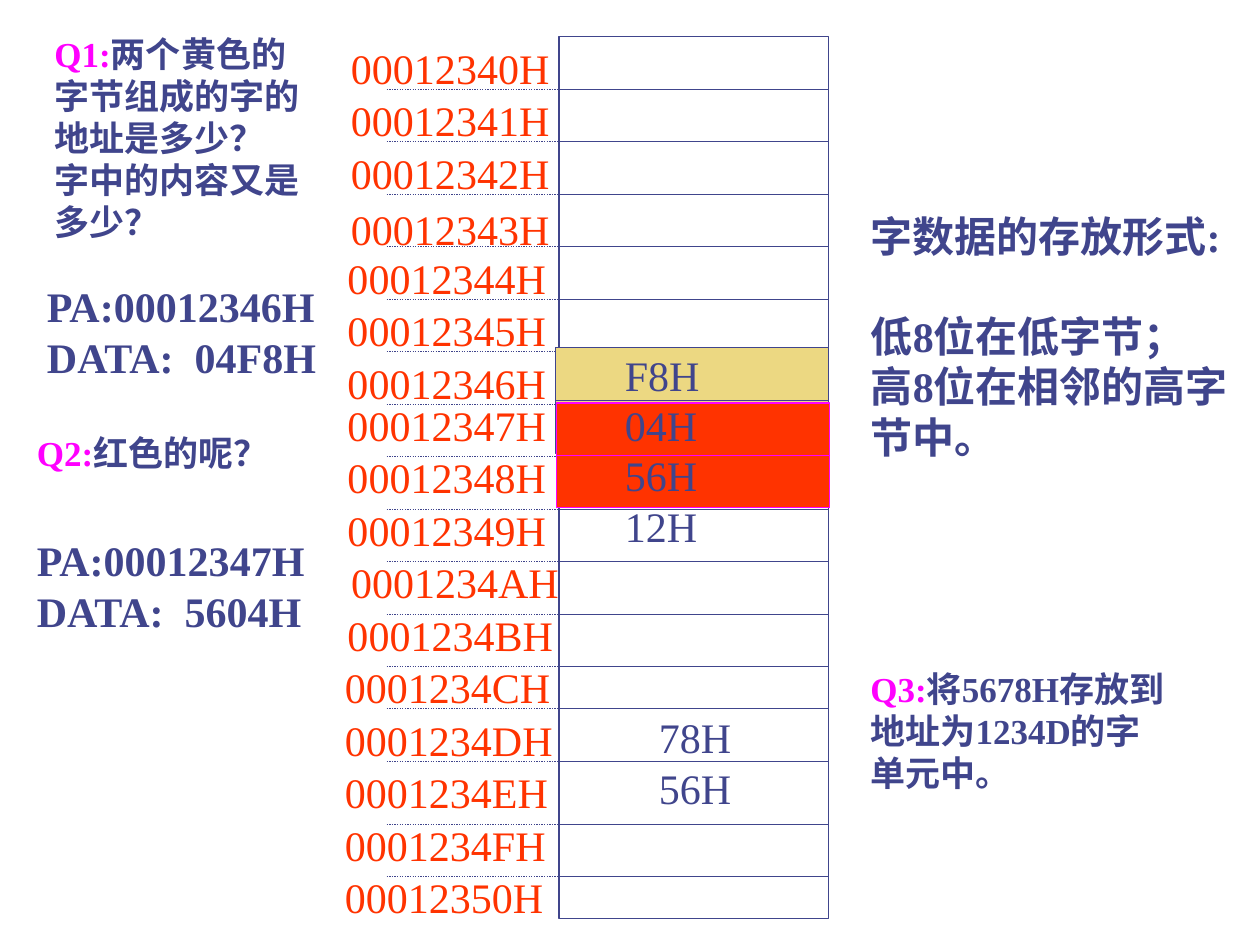
"""Build the slide on how words are stored in byte memory."""
from lxml import etree
from pptx import Presentation
from pptx import util as u
from pptx.dml.color import RGBColor
from pptx.enum import dml, lang, shapes, text
from pptx.oxml.ns import qn

Pt = u.Pt
BLUE, RED, PINK, GOLD = "40458C", "FF3300", "FF00FF", "ECD882"


def color(code):
    """Turn a hex string into a colour."""
    return RGBColor.from_string(code)


def write(box, lines, size=24, ink=BLUE, bold=False, wrap=False):
    """Add a text box; each line is a list of (words, colour) or a string."""
    frame = slide.shapes.add_textbox(*map(Pt, box)).text_frame
    frame.word_wrap = wrap
    frame.auto_size = text.MSO_AUTO_SIZE.SHAPE_TO_FIT_TEXT
    for i, line in enumerate(lines):
        para = frame.add_paragraph() if i else frame.paragraphs[0]
        for words, tint in [(line, ink)] if isinstance(line, str) else line:
            run = para.add_run()
            run.text = words
            font = run.font
            font.name, font.size, font.bold = "Times New Roman", Pt(size), bold
            font.color.rgb = color(tint)
            font.language_id = lang.MSO_LANGUAGE_ID.SIMPLIFIED_CHINESE
    return frame


deck = Presentation()
deck.slide_width, deck.slide_height = Pt(720), Pt(540)
slide = deck.slides.add_slide(deck.slide_layouts[6])

left, right, top, step = 319.5, 473.5, 21, 30
rules = [top + step * i for i in range(1, 13)] + [405, 435, 471, 501]
hidden = top + step * 8
rects = [
    (left, top, right - left, 504, "FFFFFF", BLUE),
    (317.5, 198.75, 156, 30, GOLD, BLUE),
    (317.5, 229, 156, 30, GOLD, BLUE),
    (318, 260, 156, 30, RED, PINK),
    (318, 230.25, 156, 30, RED, PINK),
]
for i, (x, y, wide, high, fill, edge) in enumerate(rects):
    rect = slide.shapes.add_shape(shapes.MSO_SHAPE.RECTANGLE, *map(Pt, (x, y, wide, high)))
    rect.shadow.inherit = False
    rect.fill.solid()
    rect.fill.fore_color.rgb = color(fill)
    rect.line.color.rgb = color(edge)
    rect.line.width = Pt(0.75)
    if i:
        continue
    for y in rules:
        for start, end, dotted in [(left, right, False), (221, left, True)]:
            if y == hidden and not dotted:
                continue
            rule = slide.shapes.add_connector(
                shapes.MSO_CONNECTOR.STRAIGHT, Pt(start), Pt(y), Pt(end), Pt(y))
            rule.line.color.rgb = color(BLUE)
            rule.line.width = Pt(0.75)
            if dotted:
                rule.line.dash_style = dml.MSO_LINE.ROUND_DOT
            etree.SubElement(rule._element.spPr, qn("a:effectLst"))

write((24, 15, 156, 127.5),
      [[("Q1:", PINK), ("两个黄色的字节组成的字的地址是多少？", BLUE)], "字中的内容又是多少？"],
      20, bold=True, wrap=True)
write((350, 196, 57.5, 122.5), ["F8H", "04H", "56H", "12H"])
write((14, 243, 156, 31), [[("Q2:", PINK), ("红色的呢？", BLUE)]], 20, bold=True, wrap=True)
form = write((490.5, 116.5, 229.5, 151),
             ["字数据的存放形式:", "低8位在低字节；", "高8位在相邻的高字节中。"],
             bold=True, wrap=True)
form.paragraphs[1].space_before = Pt(28.5)
write((490.25, 378, 186, 79),
      [[("Q3:", PINK), ("将5678H存放到地址为1234D的字单元中。", BLUE)]], 20, bold=True, wrap=True)
write((369.5, 403.25, 56, 65), ["78H", "56H"])
write((14, 302, 169, 65), ["PA:00012347H", "DATA:  5604H"], bold=True)
write((19.75, 157, 172, 65), ["PA:00012346H", "DATA:  04F8H"], bold=True)

widths = {"A": 134, "B": 132.5, "C": 132.5, "D": 134, "E": 131}
for i in range(17):
    label = f"{0x12340 + i:08X}H"
    x = 193.5 if i < 4 or i == 10 else 191.5 if i < 12 else 190
    y = 20.5 + step * i - (6 if i > 6 else 0) + (2 if i == 3 else 0)
    write((x, y, widths.get(label[7], 129.5), 36), [label], ink=RED)

deck.save("out.pptx")
